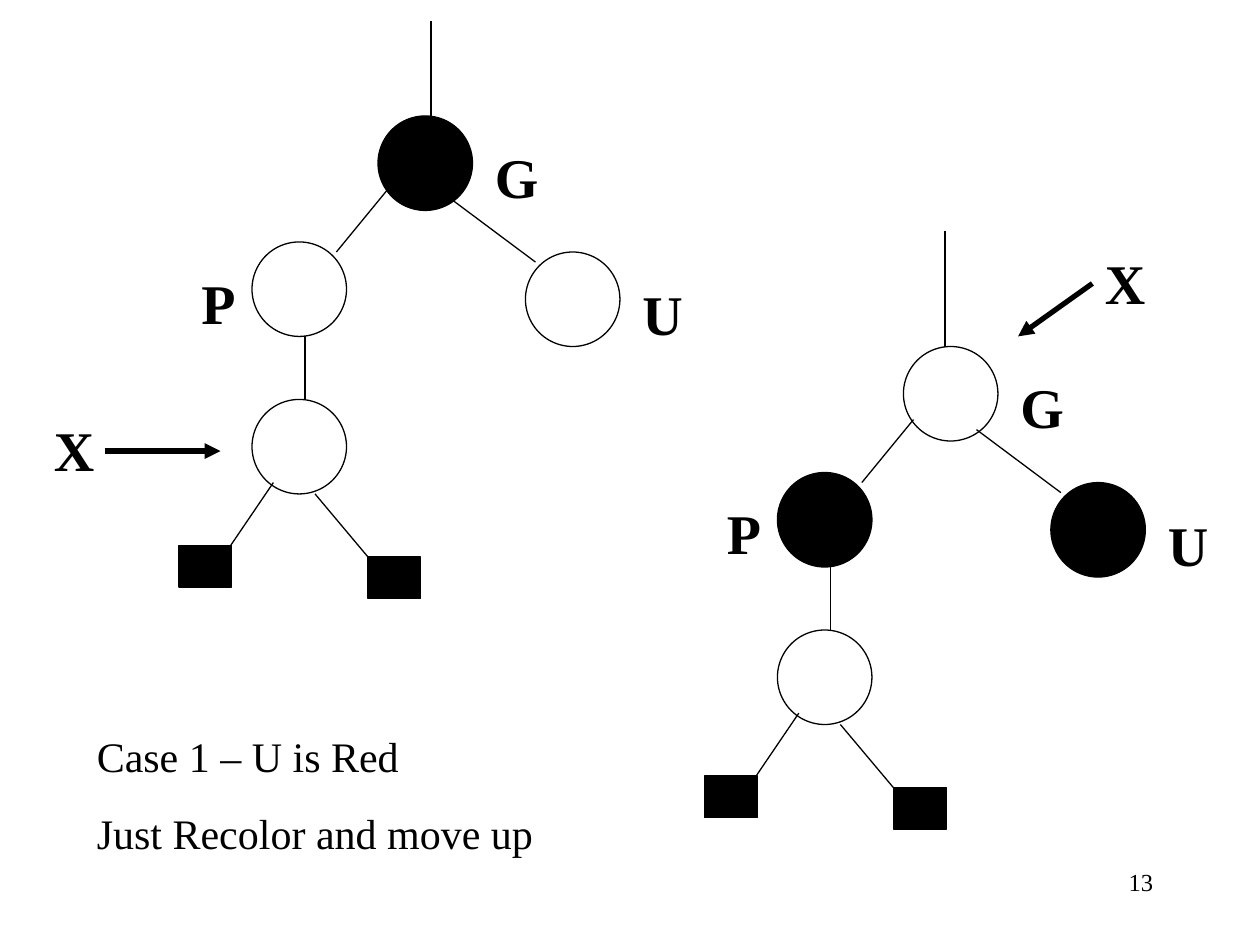
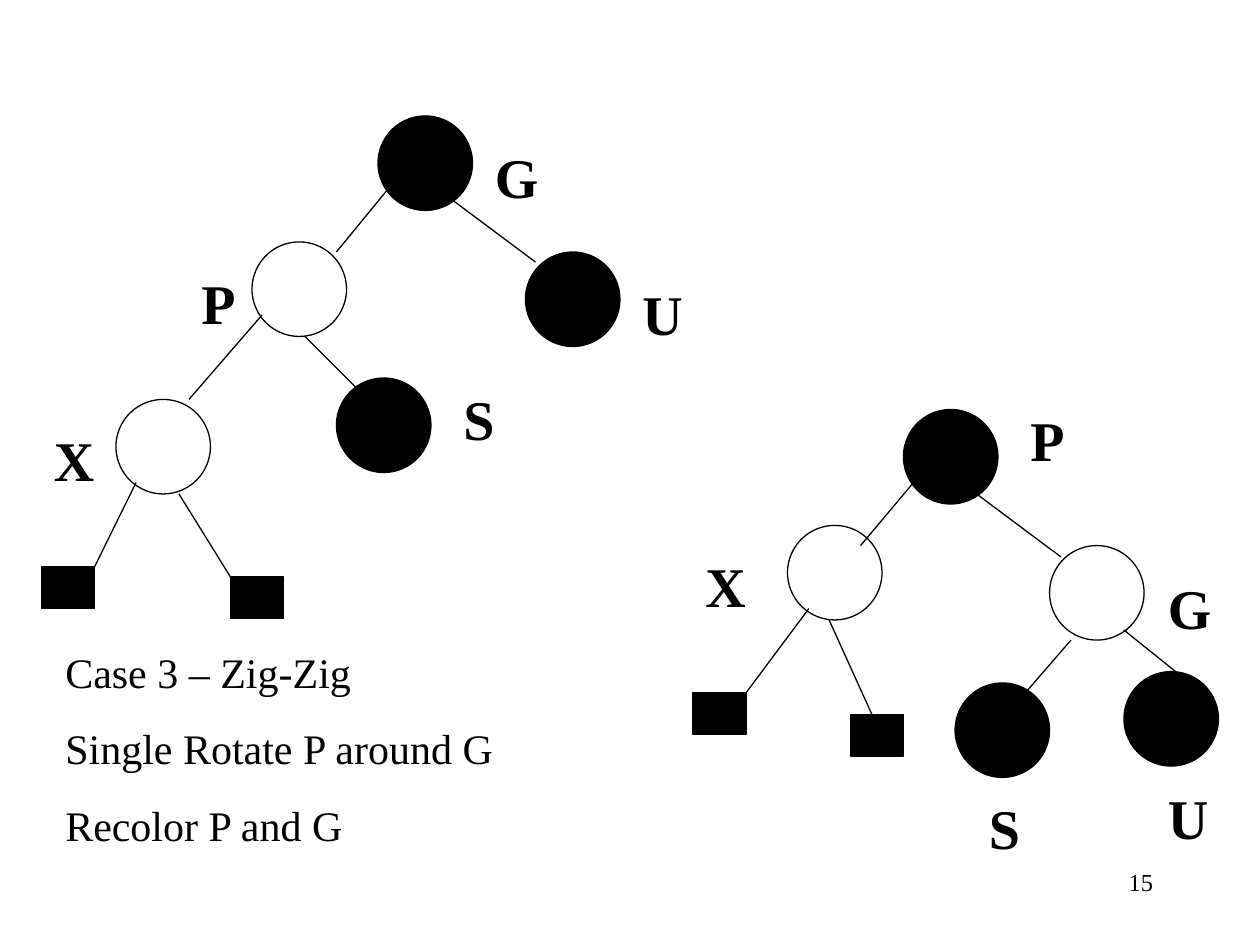
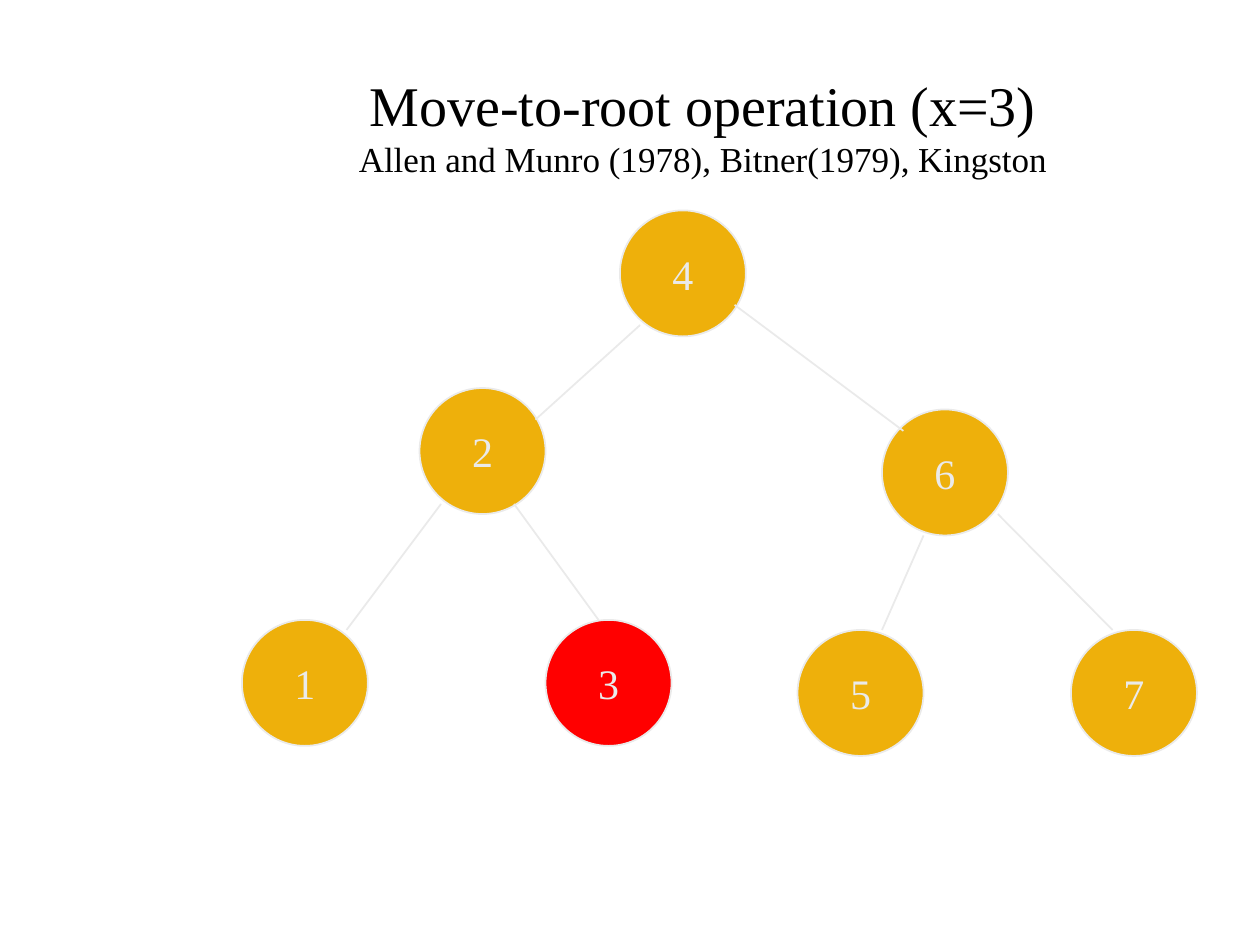
from dataclasses import dataclass

from lxml import etree
from pptx import Presentation
from pptx.dml.color import RGBColor
from pptx.enum.shapes import MSO_CONNECTOR as Connector, MSO_SHAPE as Preset
from pptx.enum.text import MSO_ANCHOR as Anchor, MSO_AUTO_SIZE as AutoSize, PP_ALIGN as Align
from pptx.oxml.ns import qn
from pptx.util import Inches, Pt

FONT = "Times New Roman"
BLACK, WHITE, RED = "000000", "FFFFFF", "FF0000"
GOLD, PALE = "EEB00B", "EAEAEA"
TITLE_ONLY, BLANK = 5, 6


@dataclass(frozen=True)
class Node:
    left: float
    top: float
    fill: str
    number: str = ""


@dataclass(frozen=True)
class Leaf:
    left: float
    top: float


@dataclass(frozen=True)
class Edge:
    x1: float
    y1: float
    x2: float
    y2: float


@dataclass(frozen=True)
class Label:
    text: str
    left: float
    top: float
    width: float = 0.42


@dataclass(frozen=True)
class Style:
    diameter: float
    line: str
    line_width: float


CASE_STYLE = Style(0.75, BLACK, 0.75)
NUMBER_STYLE = Style(1, PALE, 1)

FAMILY_EDGES = [Edge(3.08, 1.5, 2.67, 2), Edge(3.58, 1.58, 4.25, 2.08)]
FAMILY_LABELS = [Label("P", 1.5, 2.08), Label("G", 3.83, 1.08, 0.58), Label("U", 5, 2.17)]


def color(value: str) -> RGBColor:
    return RGBColor.from_string(value)


def format_font(font, size: float, value: str = BLACK, bold: bool = False) -> None:
    font.name = FONT
    font.size = Pt(size)
    font.bold = bold
    font.color.rgb = color(value)


def draw_shape(slide, preset, box: tuple, fill: str, style: Style):
    shape = slide.shapes.add_shape(preset, *map(Inches, box))
    shape.shadow.inherit = False
    shape.fill.solid()
    shape.fill.fore_color.rgb = color(fill)
    shape.line.color.rgb = color(style.line)
    shape.line.width = Pt(style.line_width)
    return shape


def draw_node(slide, node: Node, style: Style, dx: float = 0, dy: float = 0) -> None:
    box = (node.left + dx, node.top + dy, style.diameter, style.diameter)
    shape = draw_shape(slide, Preset.OVAL, box, node.fill, style)
    if node.number:
        frame = shape.text_frame
        frame.word_wrap = False
        frame.vertical_anchor = Anchor.MIDDLE
        paragraph = frame.paragraphs[0]
        paragraph.text = node.number
        paragraph.alignment = Align.CENTER
        format_font(paragraph.font, 24, PALE)


def draw_edge(slide, edge: Edge, style: Style, dx: float = 0, dy: float = 0):
    ends = (edge.x1 + dx, edge.y1 + dy, edge.x2 + dx, edge.y2 + dy)
    connector = slide.shapes.add_connector(Connector.STRAIGHT, *map(Inches, ends))
    connector.line.color.rgb = color(style.line)
    connector.line.width = Pt(style.line_width)
    etree.SubElement(connector._element.spPr, qn("a:effectLst"))
    return connector


def draw_arrow(slide, edge: Edge) -> None:
    connector = draw_edge(slide, edge, Style(0, BLACK, 3))
    etree.SubElement(connector.line._get_or_add_ln(), qn("a:tailEnd"), type="triangle")


def draw_text(slide, box: tuple, lines: list[str], size: float, bold: bool = False,
              align=Align.LEFT, gap: float = 0, grow: bool = True) -> None:
    frame = slide.shapes.add_textbox(*map(Inches, box)).text_frame
    frame.word_wrap = True
    frame.auto_size = AutoSize.SHAPE_TO_FIT_TEXT if grow else AutoSize.NONE
    for index, line in enumerate(lines):
        paragraph = frame.add_paragraph() if index else frame.paragraphs[0]
        paragraph.text = line
        paragraph.alignment = align
        if index:
            paragraph.space_before = Pt(gap)
        format_font(paragraph.font, size, bold=bold)


def draw_tree(slide, nodes: list[Node], edges: list[Edge], style: Style = CASE_STYLE,
              leaves: tuple[Leaf, ...] = (), labels: list[Label] | None = None,
              dx: float = 0, dy: float = 0) -> None:
    for node in nodes:
        draw_node(slide, node, style, dx, dy)
    for leaf in leaves:
        draw_shape(slide, Preset.RECTANGLE, (leaf.left + dx, leaf.top + dy, 0.42, 0.33), BLACK, style)
    for edge in edges:
        draw_edge(slide, edge, style, dx, dy)
    for label in labels or []:
        box = (label.left + dx, label.top + dy, label.width, 0.64)
        draw_text(slide, box, [label.text], 32, bold=True)


def add_case_slide(presentation, page: str, box: tuple, lines: list[str]):
    slide = presentation.slides.add_slide(presentation.slide_layouts[BLANK])
    draw_text(slide, (7.17, 6.83, 2.08, 0.5), [page], 14, align=Align.RIGHT, grow=False)
    draw_text(slide, box, lines, 24, gap=15)
    return slide


def family(grandparent: str, parent: str, uncle: str) -> list[Node]:
    return [Node(3, 0.92, grandparent), Node(2, 1.92, parent), Node(4.17, 2, uncle)]


def build_recolor_slide(presentation) -> None:
    slide = add_case_slide(presentation, "13", (0.67, 5.75, 3.67, 1.11),
                           ["Case 1 – U is Red", "Just Recolor and move up"])
    edges = FAMILY_EDGES + [
        Edge(2.42, 2.67, 2.42, 3.17), Edge(2.17, 3.83, 1.83, 4.33), Edge(2.5, 3.92, 2.92, 4.42)]
    leaves = (Leaf(1.42, 4.33), Leaf(2.92, 4.42))
    before, after = family(BLACK, WHITE, WHITE), family(WHITE, BLACK, BLACK)
    for nodes, dx, dy in ((before, 0, 0), (after, 4.17, 1.83)):
        draw_tree(slide, nodes + [Node(2, 3.17, WHITE)], edges, leaves=leaves,
                  labels=FAMILY_LABELS, dx=dx, dy=dy)
    root_edges = [Edge(3.42, 0.17, 3.42, 0.92), Edge(7.5, 1.83, 7.5, 2.75)]
    markers = [Label("X", 0.33, 3.25, 0.75), Label("X", 8.67, 1.92, 0.67)]
    draw_tree(slide, [], root_edges, labels=markers)
    for arrow in (Edge(0.83, 3.58, 1.75, 3.58), Edge(8.67, 2.25, 8.08, 2.67)):
        draw_arrow(slide, arrow)


def build_zig_zig_slide(presentation) -> None:
    slide = add_case_slide(presentation, "15", (0.42, 5.08, 4, 1.72),
                           ["Case 3 – Zig-Zig", "Single Rotate P around G", "Recolor P and G"])
    draw_tree(
        slide,
        family(BLACK, WHITE, BLACK) + [Node(2.67, 3, BLACK), Node(0.92, 3.17, WHITE)],
        FAMILY_EDGES + [
            Edge(2.42, 2.67, 2.83, 3.08), Edge(2.08, 2.5, 1.5, 3.17),
            Edge(1.08, 3.83, 0.75, 4.5), Edge(1.42, 3.92, 1.83, 4.58)],
        leaves=(Leaf(0.33, 4.5), Leaf(1.83, 4.58)),
        labels=FAMILY_LABELS + [Label("X", 0.33, 3.33, 0.75), Label("S", 3.58, 3, 0.58)])
    draw_tree(
        slide,
        [Node(7.17, 3.25, BLACK), Node(6.25, 4.17, WHITE), Node(8.33, 4.33, WHITE),
         Node(8.92, 5.33, BLACK), Node(7.58, 5.42, BLACK)],
        [Edge(7.25, 3.83, 6.83, 4.33), Edge(7.75, 3.92, 8.42, 4.42),
         Edge(8.92, 5, 9.33, 5.33), Edge(8.5, 5.08, 7.92, 5.75),
         Edge(6.42, 4.83, 5.92, 5.5), Edge(6.58, 4.92, 6.92, 5.67)],
        leaves=(Leaf(5.5, 5.5), Leaf(6.75, 5.67)),
        labels=[Label("P", 8.08, 3.17, 0.75), Label("X", 5.5, 4.33), Label("G", 9.17, 4.5),
                Label("S", 7.75, 6.25), Label("U", 9.17, 6.17)])


def build_move_to_root_slide(presentation) -> None:
    slide = presentation.slides.add_slide(presentation.slide_layouts[TITLE_ONLY])
    title = slide.shapes.title
    title.left, title.top, title.width, title.height = map(Inches, (1.33, 0.33, 8.5, 1.32))
    title.text_frame.vertical_anchor = Anchor.MIDDLE
    title.text_frame.auto_size = AutoSize.NONE
    paragraph = title.text_frame.paragraphs[0]
    paragraph.text = "Move-to-root operation (x=3)\vAllen and Munro (1978), Bitner(1979), Kingston"
    paragraph.alignment = Align.CENTER
    format_font(paragraph.font, 32)
    paragraph.runs[1].font.size = Pt(20)
    draw_tree(
        slide,
        [Node(3.33, 3.08, GOLD, "2"), Node(4.92, 1.67, GOLD, "4"), Node(7, 3.25, GOLD, "6"),
         Node(1.92, 4.92, GOLD, "1"), Node(4.33, 4.92, RED, "3"),
         Node(6.33, 5, GOLD, "5"), Node(8.5, 5, GOLD, "7")],
        [Edge(5.08, 2.58, 4.25, 3.33), Edge(5.83, 2.42, 7.17, 3.42),
         Edge(4.08, 4, 4.75, 4.92), Edge(3.5, 4, 2.75, 5),
         Edge(7.33, 4.25, 7, 5), Edge(7.92, 4.08, 8.83, 5)],
        NUMBER_STYLE)


def main() -> None:
    presentation = Presentation()
    presentation.slide_width, presentation.slide_height = Inches(10), Inches(7.5)
    build_recolor_slide(presentation)
    build_zig_zig_slide(presentation)
    build_move_to_root_slide(presentation)
    presentation.save("out.pptx")


if __name__ == "__main__":
    main()
